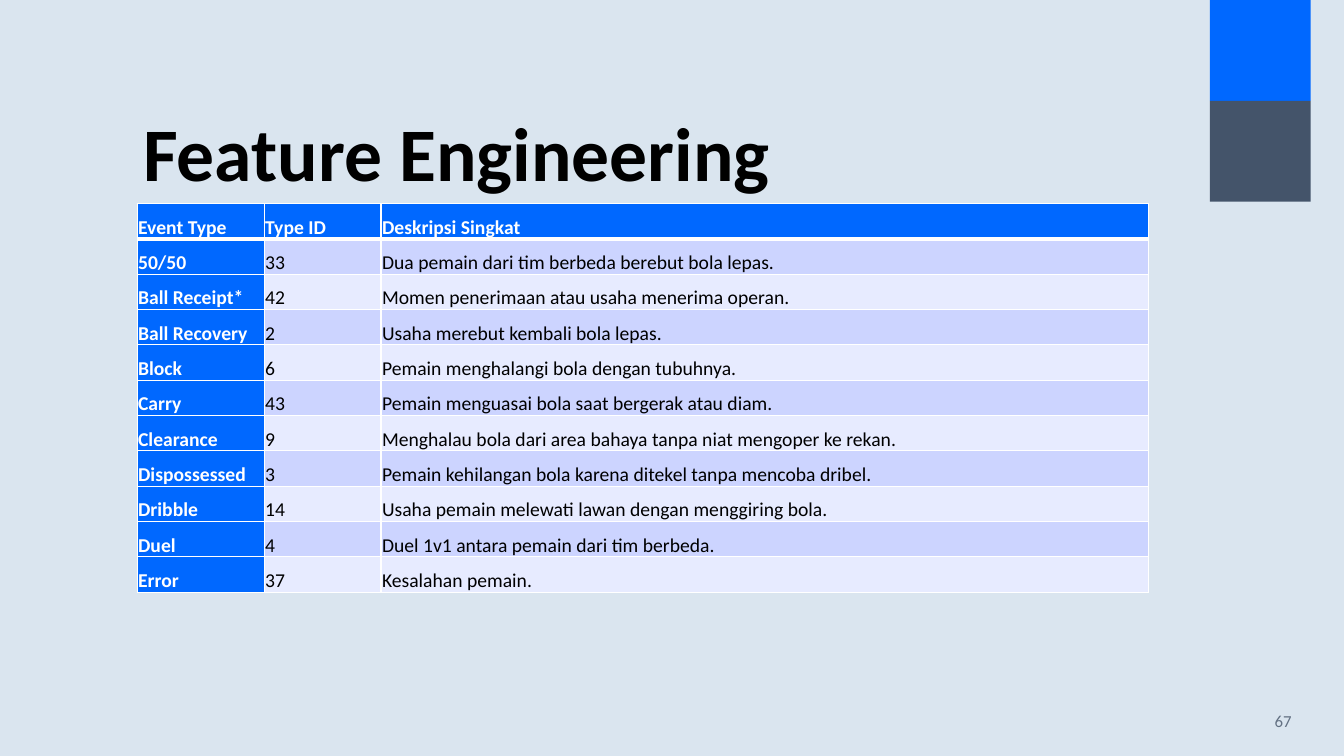
from dataclasses import dataclass
from math import cos, radians, sin

from lxml.etree import SubElement
from pptx import Presentation
from pptx.dml.color import RGBColor as RGB
from pptx.enum.text import MSO_ANCHOR as Anchor, MSO_AUTO_SIZE as AutoSize, PP_ALIGN as Align
from pptx.oxml.ns import qn
from pptx.util import Inches, Pt


@dataclass(frozen=True)
class Theme:
    font: str = "Calibri"
    background: str = "DAE5EF"
    blue: str = "0068FF"
    slate: str = "44546A"
    band_dark: str = "CCD4FF"
    band_light: str = "E7EBFF"
    white: str = "FFFFFF"
    black: str = "000000"
    grey: str = "637183"
    title_size: int = 54
    table_size: int = 14
    number_size: int = 12


theme = Theme()


def style(paragraph, size, color, bold=False, align=Align.LEFT, spacing=1.0):
    paragraph.alignment = align
    paragraph.line_spacing = spacing
    font = paragraph.font
    font.name, font.size, font.bold = theme.font, Pt(size), bold
    font.color.rgb = RGB.from_string(color)


def add_border(cell, side, width):
    line = SubElement(cell._tc.get_or_add_tcPr(), qn(f"a:{side}"), w=str(Pt(width)))
    fill = SubElement(line, qn("a:solidFill"))
    SubElement(fill, qn("a:srgbClr"), val=theme.white)


prs = Presentation()
prs.slide_width, prs.slide_height = Inches(13.33), Inches(7.5)
slide = prs.slides.add_slide(prs.slide_layouts[5])
slide.background.fill.solid()
slide.background.fill.fore_color.rgb = RGB.from_string(theme.background)

# Corner leaves: the lower one mirrors the upper one
left, radius = 11.95, 0.86
upper_center, lower_center = 12.47, 12.81
angles = [radians(a) for a in range(0, 91, 3)]
outline = [(left, 0)]
outline += [(upper_center + radius * sin(a), radius - radius * cos(a)) for a in angles]
outline += [(lower_center - radius * sin(a), radius * cos(a)) for a in angles]
for color, mirrored in ((theme.blue, False), (theme.slate, True)):
    points = [(x, 2 * radius - y if mirrored else y) for x, y in outline]
    builder = slide.shapes.build_freeform(*points[0], scale=Inches(1))
    builder.add_line_segments(points[1:], close=True)
    leaf = builder.convert_to_shape()
    leaf.shadow.inherit = False
    leaf.fill.solid()
    leaf.fill.fore_color.rgb = RGB.from_string(color)
    leaf.line.fill.background()

# Title
title = slide.shapes.title
title.left, title.top = Inches(1.32), Inches(0.56)
title.width, title.height = Inches(10.69), Inches(1.45)
title.text_frame.text = "Feature Engineering"
title.text_frame.auto_size = AutoSize.NONE
title.text_frame.vertical_anchor = Anchor.BOTTOM
style(title.text_frame.paragraphs[0], theme.title_size, theme.black, bold=True, spacing=0.9)

# Slide number
number = slide.shapes.add_textbox(Inches(11.1), Inches(6.95), Inches(1.81), Inches(0.4)).text_frame
number.word_wrap = True
number.vertical_anchor = Anchor.MIDDLE
number.text = "67"
style(number.paragraphs[0], theme.number_size, theme.grey, align=Align.RIGHT)

# Event table
events = [
    ("Event Type", "Type ID", "Deskripsi Singkat"),
    ("50/50", "33", "Dua pemain dari tim berbeda berebut bola lepas."),
    ("Ball Receipt*", "42", "Momen penerimaan atau usaha menerima operan."),
    ("Ball Recovery", "2", "Usaha merebut kembali bola lepas."),
    ("Block", "6", "Pemain menghalangi bola dengan tubuhnya."),
    ("Carry", "43", "Pemain menguasai bola saat bergerak atau diam."),
    ("Clearance", "9", "Menghalau bola dari area bahaya tanpa niat mengoper ke rekan."),
    ("Dispossessed", "3", "Pemain kehilangan bola karena ditekel tanpa mencoba dribel."),
    ("Dribble", "14", "Usaha pemain melewati lawan dengan menggiring bola."),
    ("Duel", "4", "Duel 1v1 antara pemain dari tim berbeda."),
    ("Error", "37", "Kesalahan pemain."),
]
column_widths = (1.26, 1.16, 7.61)
row_height = 0.35
table = slide.shapes.add_table(
    len(events), len(column_widths), Inches(1.36), Inches(2.02),
    Inches(sum(column_widths)), Inches(row_height * len(events))).table
table.first_col = True
for column, width in zip(table.columns, column_widths):
    column.width = Inches(width)

for r, event in enumerate(events):
    for c, text in enumerate(event):
        cell = table.cell(r, c)
        heading = r == 0 or c == 0
        cell.text = text
        cell.margin_left = cell.margin_right = Inches(0.01)
        cell.margin_top = cell.margin_bottom = 0
        cell.vertical_anchor = Anchor.MIDDLE if r == 0 else Anchor.TOP
        style(cell.text_frame.paragraphs[0], theme.table_size,
              theme.white if heading else theme.black, bold=heading,
              align=Align.LEFT if r and c == 0 else Align.JUSTIFY, spacing=1.5)
        # Borders come before the fill; the header is closed by a thick rule
        for side in ("lnL", "lnR", "lnT", "lnB"):
            under_header = (r, side) in ((0, "lnB"), (1, "lnT"))
            add_border(cell, side, 3 if under_header else 1)
        band = theme.band_dark if r % 2 else theme.band_light
        cell.fill.solid()
        cell.fill.fore_color.rgb = RGB.from_string(theme.blue if heading else band)

prs.save("out.pptx")
